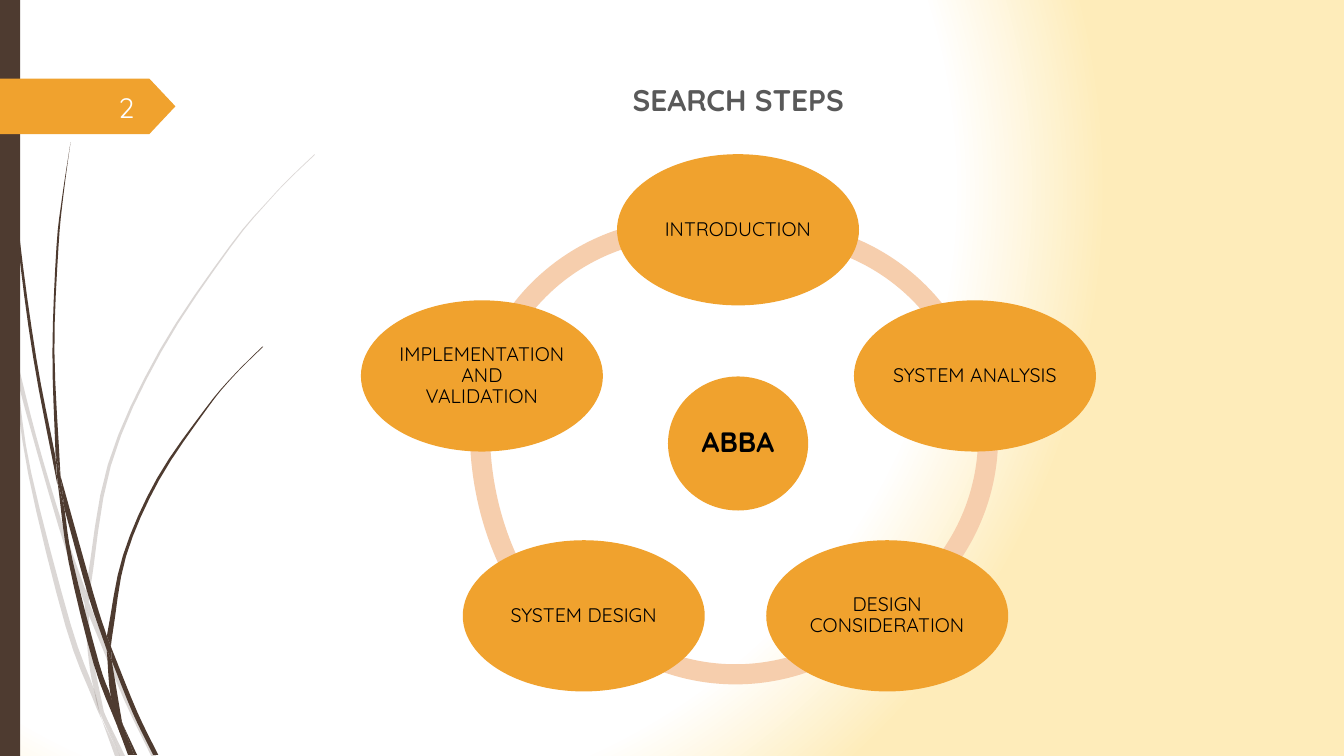
from pptx import Presentation
from pptx.dml.color import RGBColor
from pptx.enum.shapes import MSO_SHAPE
from pptx.enum.text import MSO_ANCHOR, PP_ALIGN
from pptx.oxml import parse_xml
from pptx.oxml.ns import nsdecls, qn
from pptx.util import Inches, Pt

OVAL, ARC = MSO_SHAPE.OVAL, MSO_SHAPE.BLOCK_ARC
RECT, ARROW = MSO_SHAPE.RECTANGLE, MSO_SHAPE.PENTAGON
CENTER, RIGHT = PP_ALIGN.CENTER, PP_ALIGN.RIGHT
TOP, MIDDLE = MSO_ANCHOR.TOP, MSO_ANCHOR.MIDDLE
BROWN = RGBColor(0x4E, 0x3B, 0x30)
ORANGE = RGBColor(0xF0, 0xA2, 0x2E)
PEACH = RGBColor(0xF6, 0xCE, 0xAD)
GRAY = RGBColor(0x59, 0x59, 0x59)
BLACK = RGBColor(0, 0, 0)
PALE = RGBColor(0xFE, 0xFF, 0xFF)
FONT = "Quicksand"
WIDE, HIGH = 13.33, 7.5
STEPS = 4  # points drawn per stretch of a curved stem edge

deck = Presentation()
deck.slide_width, deck.slide_height = Inches(WIDE), Inches(HIGH)
slide = deck.slides.add_slide(deck.slide_layouts[6])
shapes = slide.shapes

slide.element.cSld.insert(0, parse_xml(
    f'<p:bg {nsdecls("p", "a")}><p:bgPr><a:gradFill rotWithShape="1"><a:gsLst>'
    '<a:gs pos="80000"><a:srgbClr val="FFFFFF"/></a:gs>'
    '<a:gs pos="100000"><a:srgbClr val="FEECBA"/></a:gs></a:gsLst>'
    '<a:path path="circle"><a:fillToRect l="50000" t="50000" r="100000" b="100000"/>'
    '</a:path></a:gradFill><a:effectLst/></p:bgPr></p:bg>'))


def paint(shape, color):
    shape.shadow.inherit = False
    shape.fill.solid()
    shape.fill.fore_color.rgb = color
    shape.line.fill.background()
    return shape


def write(shape, text, size, color, align=CENTER, anchor=MIDDLE, bold=False):
    frame = shape.text_frame
    frame.word_wrap = True
    frame.vertical_anchor = anchor
    frame.text = text
    para = frame.paragraphs[0]
    para.alignment = align
    para.font.name, para.font.size = FONT, Pt(size)
    para.font.bold, para.font.color.rgb = bold, color
    return para


# Grass: each stem is a closed outline, "|" parts its smooth edges
FAINT = [
    ".14 3.45, .17 3.76, .58 5.22, .84 5.99 | .85 5.86, .62 5.2, .36 4.33, .14 3.45",
    ".88 6.1, 1.23 6.94, 1.5 7.5 | 1.55 7.5, 1.27 6.92, .92 6.07, .88 5.96",
    "1.19 7.5 | 1.24 7.5, 1.05 7.11",
    "1.01 7.14, .92 6.93, .65 6.21, .28 4.7, .11 3.5"
    " | .17 3.76, .31 4.69, .7 6.19, .93 6.83, .99 7.07",
    ".84 5.99, .87 6.46, .93 6.83, 1.05 7.11 | 1.03 7.06, .91 6.46, .88 6.1",
    ".88 5.96, 1.1 4.62, 1.6 3.49, 2.29 2.45, 2.68 1.98, 2.9 1.75, 3.12 1.54"
    " | 3.12 1.53, 2.89 1.75, 2.68 1.97, 2.28 2.44, 1.58 3.48, 1.07 4.61, .85 5.86",
    "1.01 7.14, 1.14 7.5 | 1.19 7.5",
    ".88 6.1 | .88 5.96, .85 5.86 | .84 5.99",
    ".93 6.83, .99 7.07, 1.19 7.5 | 1.05 7.11, .96 6.92",
]
DARK = [
    ".03 0, .04 .48, .07 1.1, .17 2.33, .33 3.55, .57 4.81"
    " | .55 4.53, .36 3.55, .19 2.32, .08 1.09, .05 .48, .04 0",
    ".64 5.05, .88 5.92, 1.06 6.45 | 1.06 6.31, .93 5.9, .6 4.72",
    "1.11 6.56, 1.32 7.08, 1.52 7.49 | 1.57 7.49, 1.36 7.06, 1.13 6.49, 1.1 6.41",
    ".57 4.77, .68 5.57, .93 6.59, 1.17 7.22"
    " | 1.16 7.17, 1.1 6.91, .98 6.57, .72 5.56, .64 5.05",
    ".6 4.72, .54 3.49, .58 2.45, .63 1.93, .7 1.41"
    " | .7 1.41, .62 1.93, .56 2.45, .52 3.49, .55 4.49",
    "1.22 7.19, 1.33 7.49 | 1.36 7.49",
    ".57 4.77, .64 5.05 | .6 4.72, .55 4.49",
    "1.11 6.33, 1.25 5.52, 1.58 4.76, 2.05 4.06, 2.31 3.74, 2.61 3.44"
    " | 2.6 3.44, 2.31 3.73, 2.04 4.05, 1.56 4.74, 1.22 5.51, 1.06 6.31 | 1.1 6.41",
    "1.17 7.22, 1.27 7.49 | 1.31 7.49",
    "1.06 6.45, 1.1 6.91, 1.22 7.19 | 1.21 7.16, 1.11 6.56",
    "1.06 6.31, 1.06 6.45 | 1.11 6.56, 1.1 6.41",
    "1.1 6.91, 1.17 7.22, 1.3 7.49 | 1.33 7.49, 1.22 7.19, 1.16 7.06",
]
for stems, alpha in ((FAINT, 20), (DARK, 100)):
    for stem in stems:
        line = []
        for edge in stem.split("|"):
            pts = [tuple(Inches(float(n)) for n in pair.split())
                   for pair in edge.split(",")]
            steps = STEPS if len(pts) > 2 else 1
            line.append(pts[0])
            for i in range(len(pts) - 1):
                a, b = pts[i], pts[i + 1]
                pre = pts[i - 1] if i else [2 * p - q for p, q in zip(a, b)]
                post = (pts[i + 2] if i + 2 < len(pts)
                        else [2 * q - p for p, q in zip(a, b)])
                for k in range(1, steps + 1):
                    t = k / steps
                    line.append(tuple(
                        p + t / 2 * (q - o + t * (2 * o - 5 * p + 4 * q - r
                                                  + t * (3 * p - o - 3 * q + r)))
                        for o, p, q, r in zip(pre, a, b, post)))
        pen = shapes.build_freeform(*line[0])
        pen.add_line_segments(line[1:], close=True)
        blade = paint(pen.convert_to_shape(), BROWN)
        if alpha < 100:
            tint = blade.element.spPr.find(qn("a:solidFill"))[0]
            tint.append(parse_xml(f'<a:alpha {nsdecls("a")} val="{alpha * 1000}"/>'))

# Side bar and page tag
paint(shapes.add_shape(RECT, 0, 0, Inches(0.2), Inches(HIGH)), BROWN)
tag = paint(shapes.add_shape(ARROW, 0, Inches(0.78), Inches(1.74), Inches(0.55)), ORANGE)
tag.adjustments[0] = 0.47

# Ring: left, top, height, start and end turn of each arc
for x, y, high, start, end in (
        (4.64, 2.17, 4.33, 117.9, 170.51), (4.66, 1.57, 5.38, 71.52, 116.7),
        (5.13, 2.46, 4.33, 26.77, 81.23), (5.57, 2.17, 4.33, 205.96, 34.01),
        (5.49, 2.2, 4.33, 156.64, 205.44)):
    arc = paint(shapes.add_shape(ARC, *map(Inches, (x, y, 4.33, high))), PEACH)
    for i, value in enumerate((start, end, 0.046)):
        arc.adjustments[i] = value

# Hub and steps, placed by their centres
STEP = (2.4, 1.5, 14)
for text, x, y, (wide, high, size) in (
        ("ABBA", 7.32, 4.4, (1.39, 1.33, 20)),
        ("INTRODUCTION", 7.32, 2.28, STEP),
        ("SYSTEM ANALYSIS", 9.67, 3.73, STEP),
        ("DESIGN CONSIDERATION", 8.8, 6.11, STEP),
        ("SYSTEM DESIGN", 5.79, 6.11, STEP),
        ("IMPLEMENTATION AND\vVALIDATION", 4.78, 3.73, STEP)):
    box = map(Inches, (x - wide / 2, y - high / 2, wide, high))
    oval = paint(shapes.add_shape(OVAL, *box), ORANGE)
    para = write(oval, text, size, BLACK, bold=size > 14)
    para.line_spacing = 0.9
    frame = oval.text_frame
    frame.margin_left = frame.margin_right = Inches(0.02)
    frame.margin_top = frame.margin_bottom = Inches(0.02)

title = shapes.add_textbox(*map(Inches, (3.99, 0.76, WIDE / 2, 0.46)))
write(title, "SEARCH STEPS", 21.3, GRAY, anchor=TOP, bold=True)
page = shapes.add_textbox(*map(Inches, (0.58, 0.86, 0.85, 0.4)))
write(page, "2", 20, PALE, align=RIGHT)

deck.save("out.pptx")
